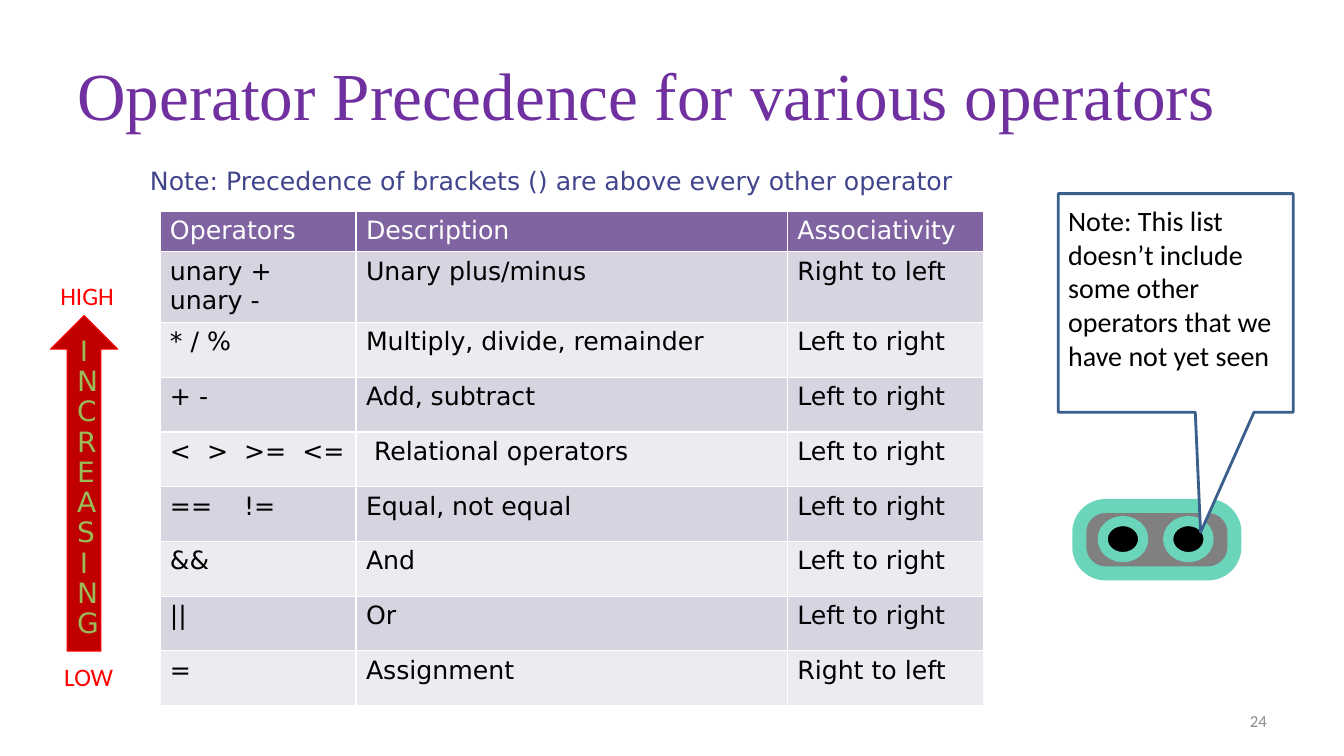
from lxml import etree
from pptx import Presentation
from pptx import util as u
from pptx.dml.color import RGBColor
from pptx.enum import shapes, text

PURPLE = RGBColor(0x70, 0x30, 0xA0)
HEADER = RGBColor(0x80, 0x64, 0xA2)
BANDS = [RGBColor(0xD8, 0xD3, 0xE0), RGBColor(0xED, 0xEA, 0xF0)]
WHITE = RGBColor(0xFF, 0xFF, 0xFF)
BLACK = RGBColor(0, 0, 0)
RED = RGBColor(0xFF, 0, 0)
DARK_RED = RGBColor(0xC0, 0, 0)
GREEN = RGBColor(0x9B, 0xBB, 0x59)
INDIGO = RGBColor(0x40, 0x45, 0x8C)
GRAY = RGBColor(0x80, 0x80, 0x80)
NUMBER_GRAY = RGBColor(0x8C, 0x8C, 0x8C)
TEAL = RGBColor(0x6A, 0xD5, 0xBB)
BLUE = RGBColor(0x3A, 0x5F, 0x8C)

SANS = "DejaVu Sans"
CALIBRI = "Calibri"


def write(frame, words, size=18, font=SANS, color=BLACK, align=text.PP_ALIGN.LEFT,
          anchor=text.MSO_ANCHOR.TOP, wrap=True):
    frame.word_wrap = wrap
    frame.vertical_anchor = anchor
    paragraph = frame.paragraphs[0]
    paragraph.alignment = align
    run = paragraph.add_run()
    run.text = words
    run.font.size = u.Pt(size)
    run.font.name = font
    run.font.bold = False
    run.font.color.rgb = color
    return paragraph


def add_figure(parent, kind, box, fill, line, weight):
    shape = parent.add_shape(kind, *map(u.Cm, box))
    shape.shadow.inherit = False
    shape.fill.solid()
    shape.fill.fore_color.rgb = fill
    shape.line.color.rgb = line
    shape.line.width = u.Pt(weight)
    return shape


presentation = Presentation()
presentation.slide_width = u.Cm(33.87)
presentation.slide_height = u.Cm(19.05)
slide = presentation.slides.add_slide(presentation.slide_layouts[6])

middle = text.MSO_ANCHOR.MIDDLE
labels = [
    ((1.7, 0.76, 30.48, 3.18), "Operator Precedence for various operators",
     dict(size=48, font="Times New Roman", color=PURPLE, anchor=middle)),
    ((24.28, 17.65, 7.9, 1.02), "24",
     dict(size=12, font=CALIBRI, color=NUMBER_GRAY, align=text.PP_ALIGN.RIGHT, anchor=middle)),
    ((1.37, 16.54, 1.75, 1.02), "LOW", dict(font=CALIBRI, color=RED, wrap=False)),
    ((1.27, 6.93, 1.88, 1.02), "HIGH", dict(font=CALIBRI, color=RED, wrap=False)),
    ((3.53, 4.04, 21.16, 1.02),
     "Note: Precedence of brackets () are above every other operator", dict(color=INDIGO)),
]
for box, words, style in labels:
    write(slide.shapes.add_textbox(*map(u.Cm, box)).text_frame, words, **style)

rows = [
    ("Operators", "Description", "Associativity"),
    ("unary + unary -", "Unary plus/minus", "Right to left"),
    ("* / %", "Multiply, divide, remainder", "Left to right"),
    ("+ -", "Add, subtract", "Left to right"),
    ("<  >  >=  <=", " Relational operators", "Left to right"),
    ("==    !=", "Equal, not equal", "Left to right"),
    ("&&", "And", "Left to right"),
    ("||", "Or", "Left to right"),
    ("=", "Assignment", "Right to left"),
]
heights = [1, 1.73] + [1.38] * 7
widths = [4.94, 10.87, 4.94]
table = slide.shapes.add_table(len(rows), len(widths), u.Cm(4.03), u.Cm(5.33),
                               u.Cm(sum(widths)), u.Cm(sum(heights))).table
for column, width in zip(table.columns, widths):
    column.width = u.Cm(width)
for r, (row, height) in enumerate(zip(rows, heights)):
    table.rows[r].height = u.Cm(height)
    for c, words in enumerate(row):
        cell = table.cell(r, c)
        cell.fill.solid()
        cell.fill.fore_color.rgb = BANDS[(r - 1) % 2] if r else HEADER
        write(cell.text_frame, words, color=BLACK if r else WHITE)

arrow = add_figure(slide.shapes, shapes.MSO_SHAPE.UP_ARROW, (1.27, 7.95, 1.7, 8.46),
                   DARK_RED, RED, 0.75)
increasing = write(arrow.text_frame, "INCREASING", size=20, color=GREEN,
                   align=text.PP_ALIGN.CENTER)
increasing.line_spacing = 0.9
increasing.space_before = u.Pt(5)

goggles = slide.shapes.add_group_shape()
frame = add_figure(goggles.shapes, shapes.MSO_SHAPE.ROUNDED_RECTANGLE,
                   (27.2, 12.75, 3.91, 1.7), GRAY, TEAL, 10)
frame.adjustments[0] = 0.39
for left in (27.79, 29.44):
    add_figure(goggles.shapes, shapes.MSO_SHAPE.OVAL, (left, 13.13, 1.02, 0.91),
               BLACK, TEAL, 7.25)

callout = add_figure(slide.shapes, shapes.MSO_SHAPE.RECTANGULAR_CALLOUT,
                     (26.67, 4.88, 5.92, 5.51), WHITE, BLUE, 2)
callout.adjustments[0] = 0.106
callout.adjustments[1] = 1.049
callout.text_frame.margin_bottom = u.Cm(0.9)
write(callout.text_frame,
      "Note: This list doesn’t include some other operators that we have not yet seen",
      size=20, font=CALIBRI, anchor=middle)

presentation.save("out.pptx")
